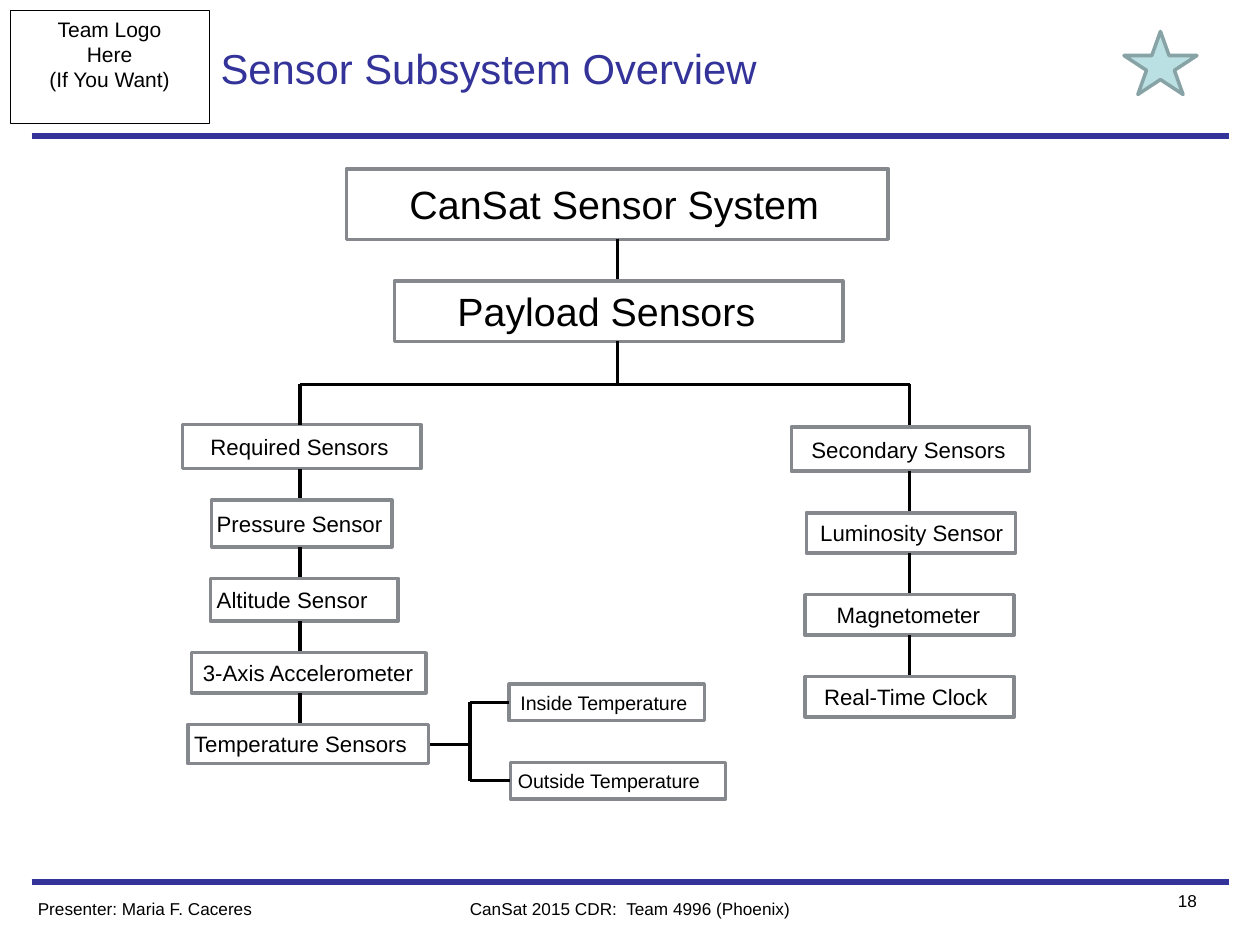
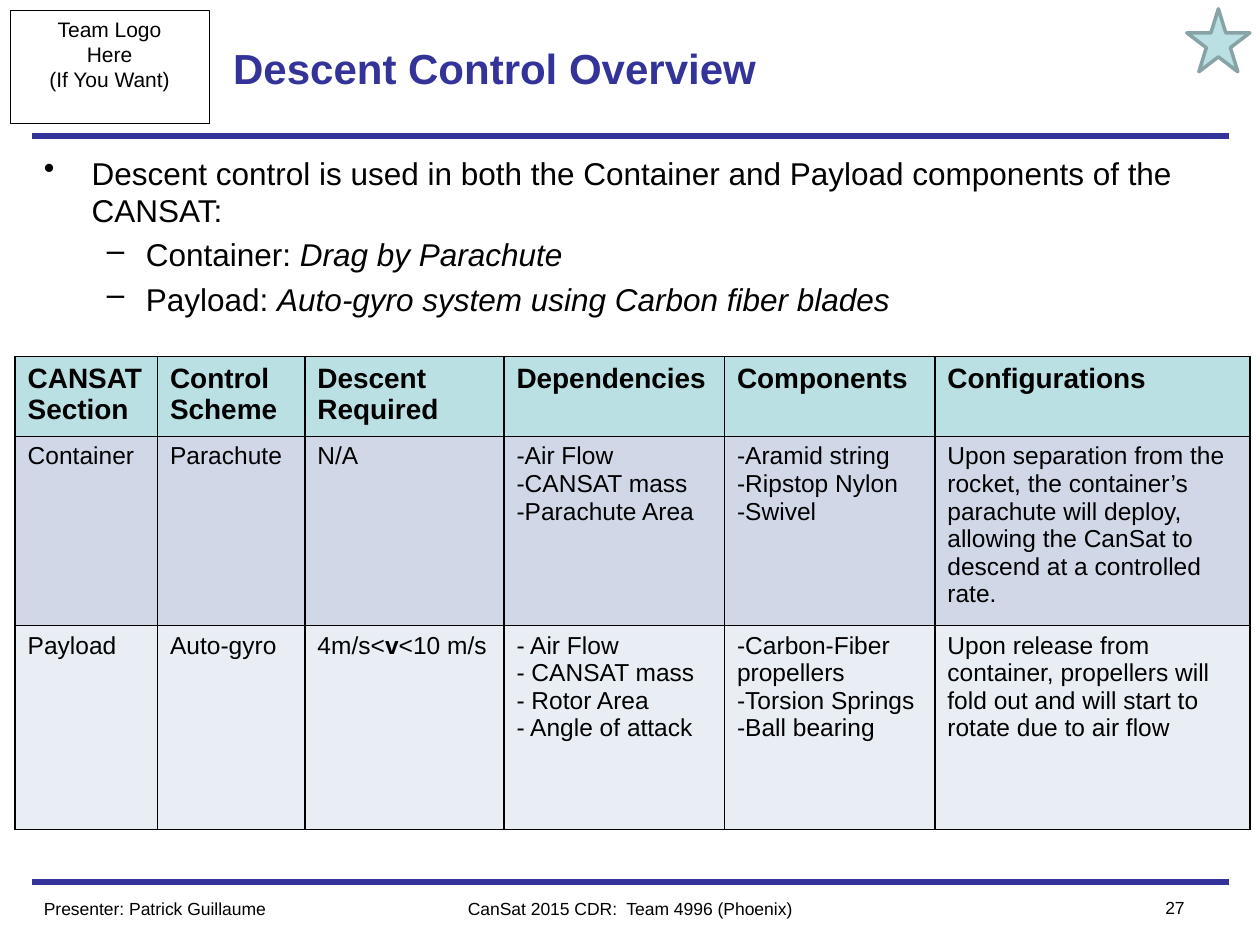
from lxml import etree
from pptx import Presentation
from pptx.dml.color import RGBColor
from pptx.enum.shapes import MSO_CONNECTOR, MSO_SHAPE
from pptx.enum.text import MSO_ANCHOR, PP_ALIGN
from pptx.oxml.ns import qn
from pptx.util import Inches, Pt

LEFT, CENTER, RIGHT = PP_ALIGN.LEFT, PP_ALIGN.CENTER, PP_ALIGN.RIGHT
TOP, MIDDLE = MSO_ANCHOR.TOP, MSO_ANCHOR.MIDDLE
RECTANGLE, STAR = MSO_SHAPE.RECTANGLE, MSO_SHAPE.STAR_5_POINT
STRAIGHT = MSO_CONNECTOR.STRAIGHT

FONT = "Arial"
BLACK, NAVY, GRAY = "000000", "333399", "85888D"
AQUA, STAR_EDGE = "BBE0E3", "88A3A6"
ROW_FILLS = [AQUA, "D0D8E8", "E9EDF4"]
GRID_COLUMNS, GRID_ROWS = 10, 7.5
BODY_INSETS = (0.1, 0.05, 0.1, 0.05)
NO_INSETS = (0, 0, 0, 0)
BULLETS = [("•", 0.38, -0.38), ("–", 0.81, -0.31)]

BOX_GAP = 0.25
WIDE_GAP = 0.33
TRUNK, REQUIRED_SPINE, SECONDARY_SPINE = 4.9, 2.38, 7.22
BUS = 3.05
FORK, FORK_MIDDLE = 3.73, 5.91

MAIN_BOXES = [
    ("CanSat Sensor System", 2.75, 4.3, 0.56, 0.5),
    ("Payload Sensors", 3.13, 3.56, 0.48, 0.5),
]
REQUIRED_BOXES = [
    ("Required Sensors", 1.45, 1.89, 0.35, 0.22),
    ("Pressure Sensor", 1.68, 1.43, 0.37, 0.04),
    ("Altitude Sensor", 1.67, 1.49, 0.34, 0.05),
    ("3-Axis Accelerometer", 1.52, 1.86, 0.32, 0.09),
    ("Temperature Sensors", 1.49, 1.91, 0.31, 0.05),
]
SECONDARY_BOXES = [
    ("Secondary Sensors", 6.28, 1.89, 0.35, 0.16),
    ("Luminosity Sensor", 6.4, 1.66, 0.32, 0.11),
    ("Magnetometer", 6.39, 1.66, 0.32, 0.25),
    ("Real-Time Clock", 6.39, 1.66, 0.32, 0.15),
]
TEMPERATURE_BOXES = [
    ("Inside Temperature", 4.04, 5.43, 1.55, 0.09),
    ("Outside Temperature", 4.05, 6.05, 1.71, 0.06),
]
TEMPERATURE_HEIGHT = 0.29

DESCENT_POINTS = [
    (0, "Descent control is used in both the Container and Payload components of the CANSAT:"),
    (1, "Container: *Drag by Parachute*"),
    (1, "Payload: *Auto-gyro system using Carbon fiber blades*"),
]
DESCENT_COLUMNS = [1.13, 1.17, 1.58, 1.75, 1.67, 2.5]
DESCENT_ROWS = [0.58, 1.47, 1.62]
DESCENT_TABLE = [
    ["CANSAT Section", "Control Scheme", "Descent Required",
     "Dependencies", "Components", "Configurations"],
    ["Container", "Parachute", "N/A",
     "-Air Flow\n-CANSAT mass\n-Parachute Area",
     "-Aramid string\n-Ripstop Nylon\n-Swivel",
     "Upon separation from the rocket, the container’s parachute will deploy, "
     "allowing the CanSat to descend at a controlled rate."],
    ["Payload", "Auto-gyro", "4m/s<*v*<10 m/s",
     "- Air Flow\n- CANSAT mass\n- Rotor Area\n- Angle of attack",
     "-Carbon-Fiber propellers\n-Torsion Springs\n-Ball bearing",
     "Upon release from container, propellers will fold out and will start to "
     "rotate due to air flow"],
]


def color(hex_string):
    return RGBColor.from_string(hex_string)


class Deck:
    """Holds the presentation style and the current slide, measured in grid columns and rows."""

    def __init__(self):
        self.presentation = Presentation()
        self.presentation.slide_width = Inches(10)
        self.presentation.slide_height = Inches(7.5)
        self.slide = None

    def across(self, columns):
        return round(self.presentation.slide_width * columns / GRID_COLUMNS)

    def down(self, rows):
        return round(self.presentation.slide_height * rows / GRID_ROWS)

    def area(self, left, top, width, height):
        return self.across(left), self.down(top), self.across(width), self.down(height)

    def start(self, title, presenter, number, size=24, bold=False, title_insets=BODY_INSETS,
              footer_size=10, footer_insets=BODY_INSETS, number_insets=BODY_INSETS):
        layout = self.presentation.slide_layouts.get_by_name("Title Only")
        self.slide = self.presentation.slides.add_slide(layout)
        for height in (7, 1.08):
            self.line(0.25, height, 9.75, height, NAVY, 3)
        logo = self.shape(RECTANGLE, (0.08, 0.08, 1.58, 0.9), BLACK, 0.5)
        self.set_text(logo, "Team Logo\nHere\n(If You Want)", 12, align=CENTER)
        heading = self.slide.shapes.title
        heading.left, heading.top, heading.width, heading.height = self.area(1.75, 0.08, 6.5, 0.92)
        self.set_text(heading, title, size, NAVY, insets=title_insets, anchor=MIDDLE, bold=bold)
        self.text((0.25, 7.08, 2.5, 0.27), presenter, footer_size, insets=footer_insets)
        self.text((3, 7.08, 4, 0.27), "CanSat 2015 CDR:  Team 4996 (Phoenix)", footer_size,
                  align=CENTER, insets=footer_insets)
        self.text((8.75, 7.07, 0.75, 0.27), number, footer_size, align=RIGHT,
                  insets=number_insets)

    def style(self, paragraph, text, size, ink=BLACK, align=LEFT, bold=False, slanted=False):
        paragraph.alignment = align
        font = paragraph.font
        font.name, font.size, font.bold = FONT, Pt(size), bold
        font.color.rgb = color(ink)
        for index, part in enumerate(text.split("*")):
            if part:
                run = paragraph.add_run()
                run.text = part
                if index % 2 and slanted:
                    run.font.italic = True
                elif index % 2:
                    run.font.bold = True

    def fill_frame(self, frame, text, size, **options):
        for index, line in enumerate(text.split("\n")):
            paragraph = frame.add_paragraph() if index else frame.paragraphs[0]
            self.style(paragraph, line, size, **options)

    def set_text(self, shape, text, size, ink=BLACK, align=LEFT, insets=BODY_INSETS,
                 anchor=TOP, bold=False):
        frame = shape.text_frame
        frame.word_wrap = True
        frame.vertical_anchor = anchor
        (frame.margin_left, frame.margin_top,
         frame.margin_right, frame.margin_bottom) = map(Inches, insets)
        self.fill_frame(frame, text, size, ink=ink, align=align, bold=bold)

    def text(self, area, text, size, **options):
        self.set_text(self.slide.shapes.add_textbox(*self.area(*area)), text, size, **options)

    def shape(self, kind, area, edge, weight, fill=None):
        shape = self.slide.shapes.add_shape(kind, *self.area(*area))
        shape.shadow.inherit = False
        shape.line.color.rgb = color(edge)
        shape.line.width = Pt(weight)
        if fill:
            shape.fill.solid()
            shape.fill.fore_color.rgb = color(fill)
        else:
            shape.fill.background()
        return shape

    def star(self, area):
        self.shape(STAR, area, STAR_EDGE, 2, AQUA)

    def line(self, x1, y1, x2, y2, ink=BLACK, weight=2):
        connector = self.slide.shapes.add_connector(
            STRAIGHT, self.across(x1), self.down(y1), self.across(x2), self.down(y2))
        connector.line.color.rgb = color(ink)
        connector.line.width = Pt(weight)
        etree.SubElement(connector._element.spPr, qn("a:effectLst"))

    def box(self, label, area, indent, size):
        box = self.shape(RECTANGLE, area, GRAY, 2)
        self.set_text(box, label, size, insets=(indent, 0, 0, 0), anchor=MIDDLE)

    def stack(self, boxes, top, gap, spine, size):
        for index, (label, left, width, height, indent) in enumerate(boxes):
            if index:
                self.line(spine, top - gap, spine, top)
            self.box(label, (left, top, width, height), indent, size)
            top += height + gap

    def bullets(self, area, points, size):
        frame = self.slide.shapes.add_textbox(*self.area(*area)).text_frame
        frame.word_wrap = True
        for index, (level, text) in enumerate(points):
            paragraph = frame.add_paragraph() if index else frame.paragraphs[0]
            mark, margin, indent = BULLETS[level]
            paragraph.level = level
            properties = paragraph._p.get_or_add_pPr()
            properties.set("marL", str(Inches(margin)))
            properties.set("indent", str(Inches(indent)))
            etree.SubElement(properties, qn("a:buChar"), char=mark)
            paragraph.space_before = Pt(size * 0.2 if index else 0)
            self.style(paragraph, text, size, slanted=True)

    def border(self, cell):
        properties = cell._tc.get_or_add_tcPr()
        for side in "LRTB":
            edge = etree.SubElement(properties, qn(f"a:ln{side}"), w=str(Pt(1)))
            ink = etree.SubElement(edge, qn("a:solidFill"))
            etree.SubElement(ink, qn("a:srgbClr"), val=BLACK)

    def table(self, left, top, columns, rows, cells):
        area = self.area(left, top, sum(columns), sum(rows))
        table = self.slide.shapes.add_table(len(rows), len(columns), *area).table
        table.first_row = table.horz_banding = False
        for column, width in zip(table.columns, columns):
            column.width = self.across(width)
        for row_index, (row, height) in enumerate(zip(table.rows, rows)):
            row.height = self.down(height)
            header = row_index == 0
            for cell, text in zip(row.cells, cells[row_index]):
                self.border(cell)
                cell.fill.solid()
                cell.fill.fore_color.rgb = color(ROW_FILLS[row_index])
                self.fill_frame(cell.text_frame, text, 16 if header else 14, bold=header)


def sensor_overview(deck):
    deck.start("Sensor Subsystem Overview", "Presenter: Maria F. Caceres", "18",
               size=23.9, title_insets=NO_INSETS, footer_size=9.8,
               footer_insets=(0.05,) * 4, number_insets=NO_INSETS)
    deck.star((8.92, 0.25, 0.58, 0.5))
    deck.stack(MAIN_BOXES, 1.34, WIDE_GAP, TRUNK, 22.5)
    deck.stack(REQUIRED_BOXES, 3.37, BOX_GAP, REQUIRED_SPINE, 12.7)
    deck.stack(SECONDARY_BOXES, 3.39, WIDE_GAP, SECONDARY_SPINE, 12.7)
    deck.line(TRUNK, 2.71, TRUNK, BUS)
    deck.line(REQUIRED_SPINE, BUS, SECONDARY_SPINE, BUS)
    for spine in (REQUIRED_SPINE, SECONDARY_SPINE):
        deck.line(spine, BUS, spine, 3.37)
    deck.line(3.41, FORK_MIDDLE, FORK, FORK_MIDDLE)
    for label, left, top, width, indent in TEMPERATURE_BOXES:
        deck.box(label, (left, top, width, TEMPERATURE_HEIGHT), indent, 11.2)
        branch = top + TEMPERATURE_HEIGHT / 2
        deck.line(FORK, FORK_MIDDLE, FORK, branch)
        deck.line(FORK, branch, left, branch)


def descent_overview(deck):
    deck.start("Descent Control Overview", "Presenter: Patrick Guillaume", "27", bold=True)
    deck.bullets((0.25, 1.17, 9.5, 1.5), DESCENT_POINTS, 18)
    deck.star((9.42, 0.07, 0.5, 0.5))
    deck.table(0.12, 2.83, DESCENT_COLUMNS, DESCENT_ROWS, DESCENT_TABLE)


def main():
    deck = Deck()
    sensor_overview(deck)
    descent_overview(deck)
    deck.presentation.save("out.pptx")


if __name__ == "__main__":
    main()
